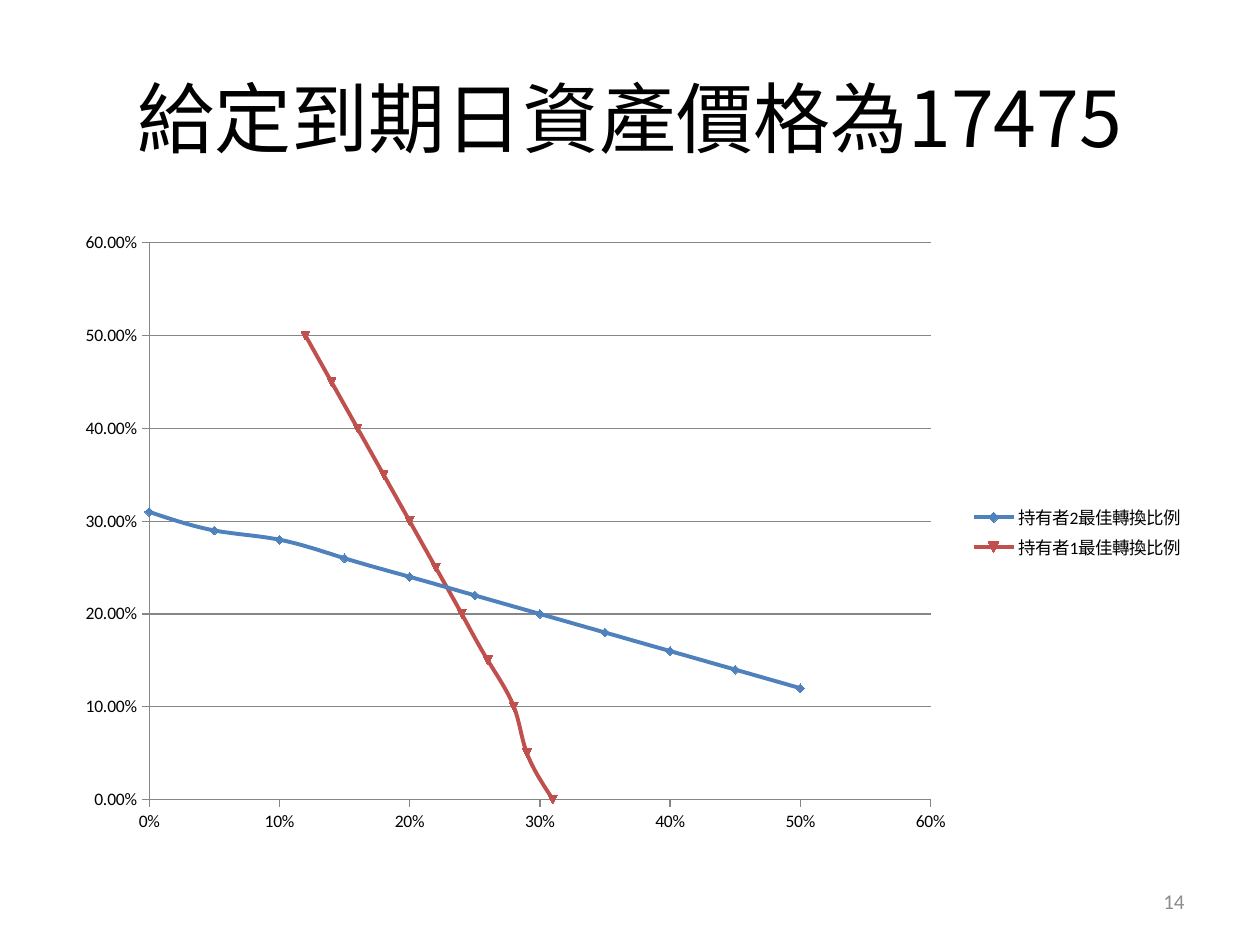
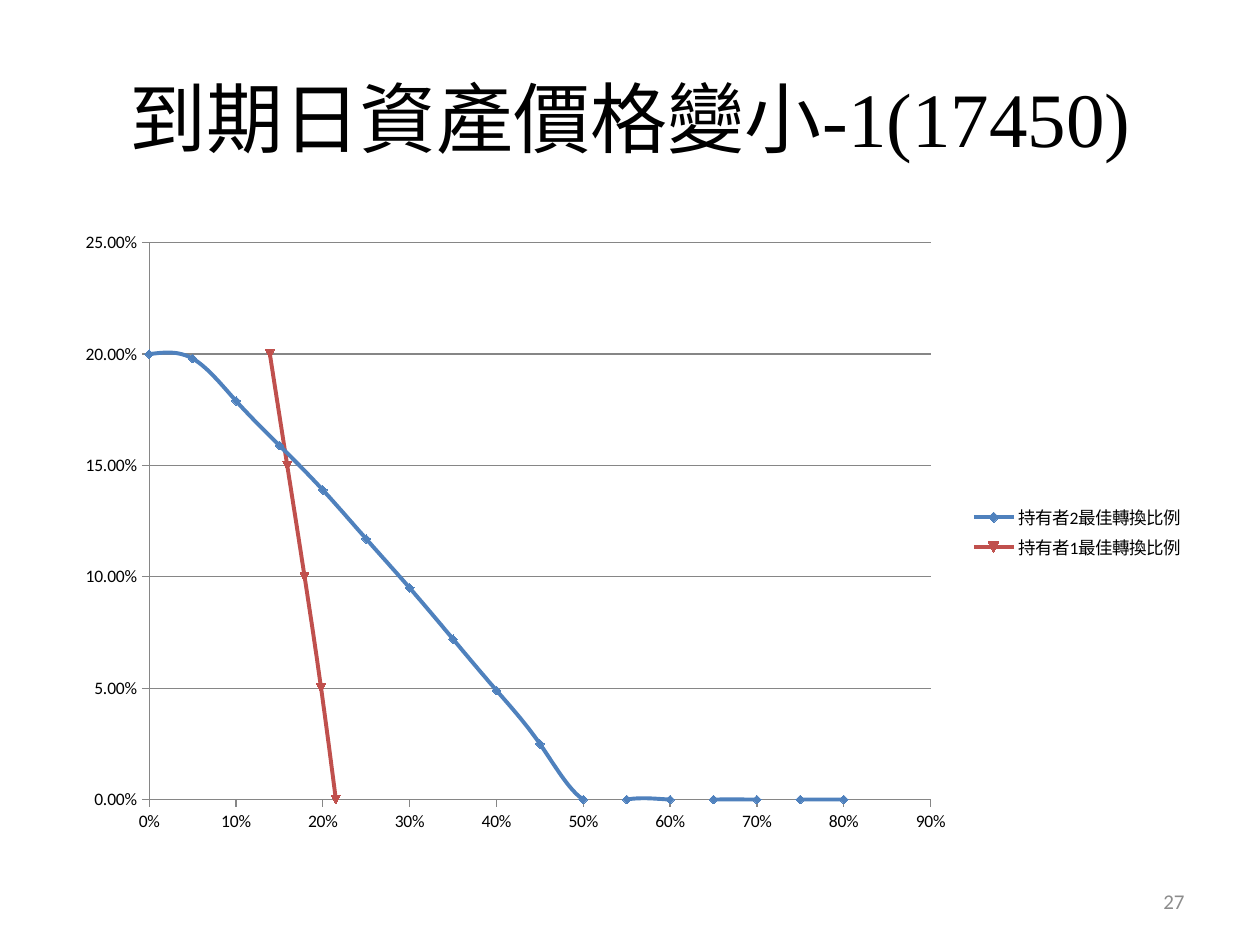
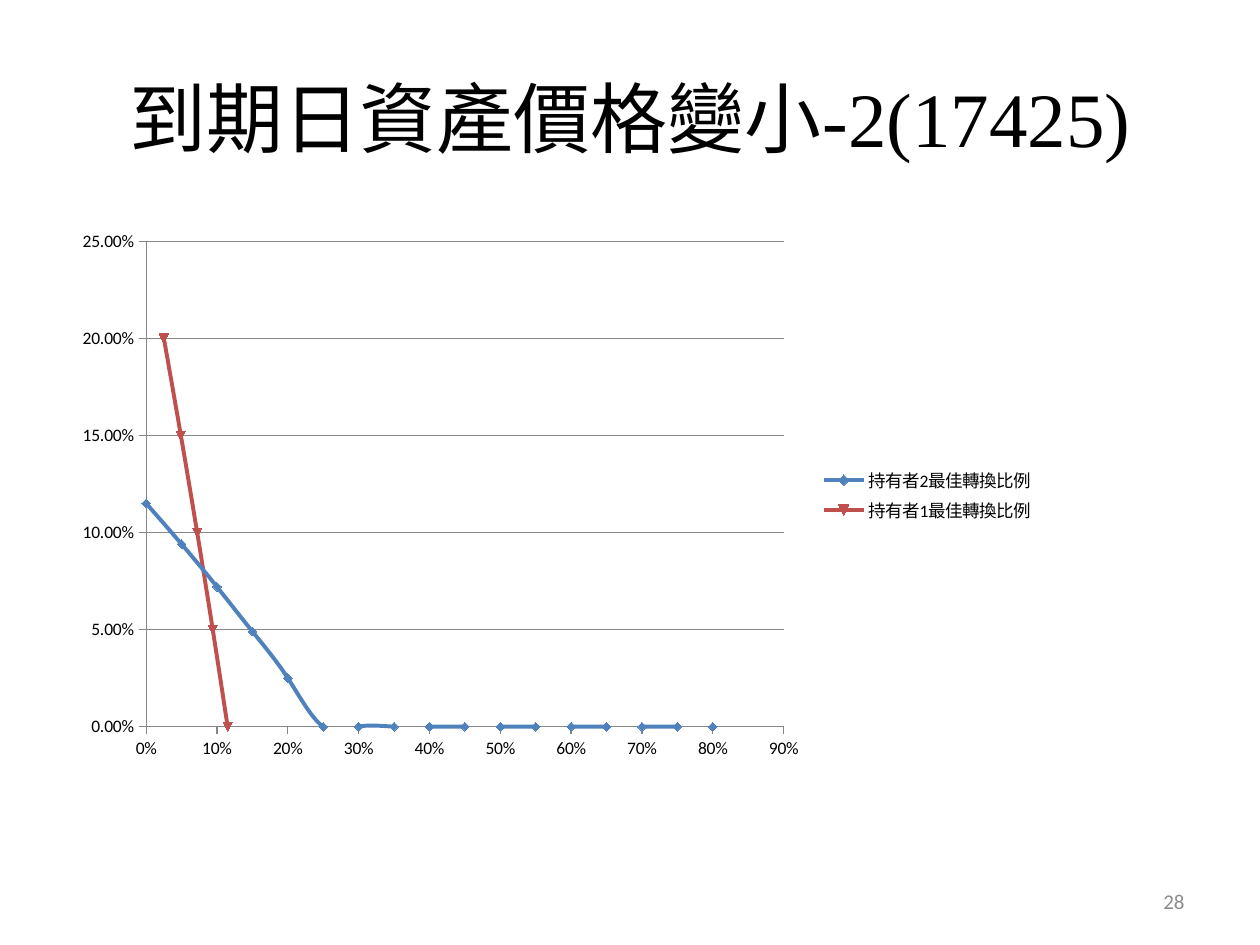
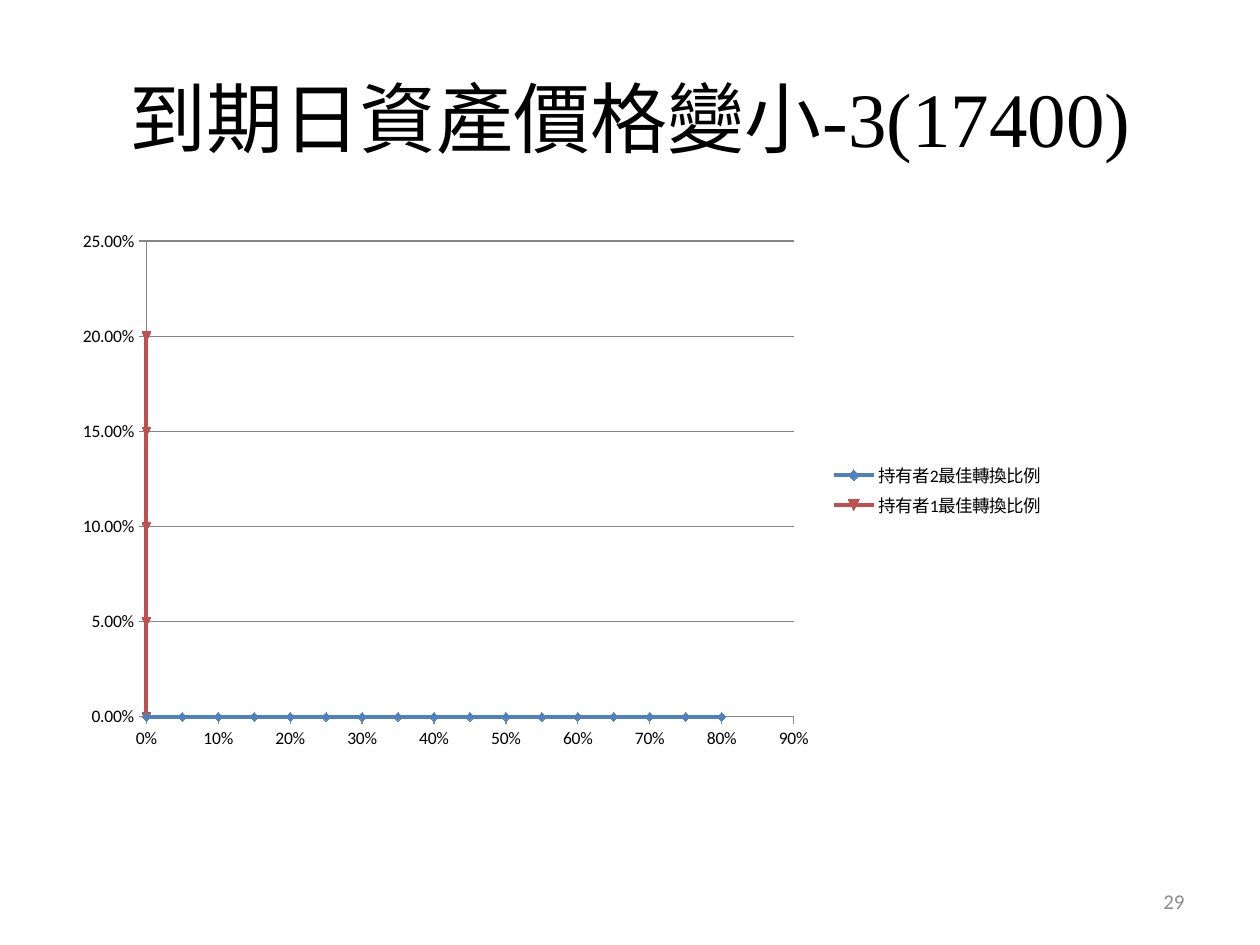
"""Build four slides that chart each holder's best conversion ratio by asset price."""
from dataclasses import dataclass

from lxml.etree import SubElement
from pptx import Presentation
from pptx.chart.data import XyChartData
from pptx.dml.color import RGBColor
from pptx.enum.chart import XL_CHART_TYPE, XL_LEGEND_POSITION, XL_TICK_MARK
from pptx.enum.text import MSO_ANCHOR, PP_ALIGN
from pptx.oxml.ns import qn
from pptx.util import Inches, Pt


@dataclass(frozen=True)
class Theme:
    """Hold the colours, fonts and sizes that all slides share."""
    ink: RGBColor = RGBColor(0, 0, 0)
    muted: RGBColor = RGBColor(0x8C, 0x8C, 0x8C)
    rule: RGBColor = RGBColor(0x86, 0x86, 0x86)
    holder_2: RGBColor = RGBColor(0x4F, 0x81, 0xBD)
    holder_1: RGBColor = RGBColor(0xC0, 0x50, 0x4D)
    chinese: str = "Noto Sans CJK SC"
    serif: str = "Times New Roman"
    sans: str = "Calibri"
    title_size: Pt = Pt(44)
    number_size: Pt = Pt(12)
    chart_size: Pt = Pt(10)
    curve_width: Pt = Pt(2.25)
    rule_width: Pt = Pt(0.75)


@dataclass(frozen=True)
class Scenario:
    """Describe one slide: its title, number, chart size, responses and axes."""
    title: tuple
    number: int
    size: tuple
    responses: tuple
    holder_1_limit: float
    holder_2_limit: float
    x_maximum: float
    y_maximum: float
    y_step: float


THEME = Theme()
STEP = 0.05


def title_runs(suffix):
    """Return the title runs of a slide about a smaller asset price."""
    return ("到期日資產價格變小", THEME.chinese), (suffix, THEME.serif)


SMALLER = dict(holder_1_limit=0.2, holder_2_limit=0.8,
               x_maximum=0.9, y_maximum=0.25, y_step=0.05)

SCENARIOS = (
    Scenario((("給定到期日資產價格為17475", THEME.chinese),), 14, (9, 4.95),
             (0.31, 0.29, 0.28, 0.26, 0.24, 0.22,
              0.2, 0.18, 0.16, 0.14, 0.12),
             holder_1_limit=0.5, holder_2_limit=0.5,
             x_maximum=0.6, y_maximum=0.6, y_step=0.1),
    Scenario(title_runs("-1(17450)"), 27, (9, 4.95),
             (0.215, 0.198, 0.179, 0.159, 0.139,
              0.117, 0.095, 0.072, 0.049, 0.025), **SMALLER),
    Scenario(title_runs("-2(17425)"), 28, (7.81, 4.36),
             (0.115, 0.094, 0.072, 0.049, 0.025), **SMALLER),
    Scenario(title_runs("-3(17400)"), 29, (7.89, 4.28), (), **SMALLER),
)


def holdings(limit):
    """Return the ratios from zero to the limit in equal steps."""
    return [round(index * STEP, 2) for index in range(round(limit / STEP) + 1)]


def best_curves(scenario):
    """Return the points of both holders, whose responses mirror each other."""
    ratios_1 = holdings(scenario.holder_1_limit)
    ratios_2 = holdings(scenario.holder_2_limit)
    missing = len(ratios_2) - len(scenario.responses)
    responses = list(scenario.responses) + [0] * missing
    capped = [min(value, scenario.holder_1_limit) for value in responses]
    return (("持有者2最佳轉換比例", zip(ratios_2, capped), THEME.holder_2),
            ("持有者1最佳轉換比例", zip(responses, ratios_1), THEME.holder_1))


class DeckBuilder:
    """Keep the theme and the current page, and add elements to that page."""

    def __init__(self, theme):
        """Start an empty deck."""
        self.theme = theme
        self.deck = Presentation()
        self.deck.slide_width, self.deck.slide_height = Inches(10), Inches(7.5)
        self.page = None

    def add_page(self):
        """Add a blank page and make it current."""
        self.page = self.deck.slides.add_slide(self.deck.slide_layouts[6])

    def add_text(self, place, runs, size, color, alignment):
        """Add a one-paragraph box from pairs of text and font name."""
        box = self.page.shapes.add_textbox(*map(Inches, place))
        frame = box.text_frame
        frame.word_wrap = True
        frame.vertical_anchor = MSO_ANCHOR.MIDDLE
        para = frame.paragraphs[0]
        para.alignment = alignment
        for text, font_name in runs:
            span = para.add_run()
            span.text = text
            span.font.size = size
            span.font.color.rgb = color
            span.font.name = font_name
            SubElement(span._r.get_or_add_rPr(), qn("a:ea"), typeface=font_name)

    def add_title(self, runs):
        """Add the centred title."""
        self.add_text((0.5, 0.3, 9, 1.25), runs, self.theme.title_size,
                      self.theme.ink, PP_ALIGN.CENTER)

    def add_number(self, number):
        """Add the page number at the lower right."""
        self.add_text((7.17, 6.95, 2.33, 0.4), ((str(number), self.theme.sans),),
                      self.theme.number_size, self.theme.muted, PP_ALIGN.RIGHT)

    def style_line(self, line, color, width):
        """Give a line its colour and width."""
        line.color.rgb = color
        line.width = width

    def style_axis(self, axis, maximum, step, number_format):
        """Set the scale, labels and line of an axis."""
        axis.minimum_scale, axis.maximum_scale = 0, maximum
        axis.major_unit = step
        axis.major_tick_mark = XL_TICK_MARK.OUTSIDE
        axis.minor_tick_mark = XL_TICK_MARK.NONE
        axis.tick_labels.number_format = number_format
        axis.tick_labels.number_format_is_linked = False
        self.style_line(axis.format.line, self.theme.rule, self.theme.rule_width)

    def add_curves(self, scenario):
        """Add the smooth scatter chart of both holders."""
        theme = self.theme
        curves = best_curves(scenario)
        data = XyChartData()
        for name, points, _ in curves:
            series = data.add_series(name)
            for x, y in points:
                series.add_data_point(x, y)
        place = map(Inches, (0.5, 1.75, *scenario.size))
        chart = self.page.shapes.add_chart(
            XL_CHART_TYPE.XY_SCATTER_SMOOTH, *place, data).chart
        chart.has_title = False
        chart.font.name = theme.sans
        chart.font.size = theme.chart_size
        chart.font.color.rgb = theme.ink
        chart.has_legend = True
        chart.legend.position = XL_LEGEND_POSITION.RIGHT
        chart.legend.include_in_layout = False
        self.style_axis(chart.category_axis, scenario.x_maximum, 0.1, "0%")
        self.style_axis(chart.value_axis, scenario.y_maximum,
                        scenario.y_step, "0.00%")
        chart.category_axis.has_major_gridlines = False
        chart.value_axis.has_major_gridlines = True
        self.style_line(chart.value_axis.major_gridlines.format.line,
                        theme.rule, theme.rule_width)
        plot = chart.plots[0]
        plot.vary_by_categories = False
        for series, (_, _, color) in zip(plot.series, curves):
            self.style_line(series.format.line, color, theme.curve_width)
            marker = series.marker.format
            marker.fill.solid()
            marker.fill.fore_color.rgb = color
            self.style_line(marker.line, color, theme.rule_width)
        for smooth in chart.element.iter(qn("c:smooth")):
            smooth.set("val", "1")


def main():
    """Build every scenario page and save the deck."""
    builder = DeckBuilder(THEME)
    for scenario in SCENARIOS:
        builder.add_page()
        builder.add_title(scenario.title)
        builder.add_number(scenario.number)
        builder.add_curves(scenario)
    builder.deck.save("out.pptx")


if __name__ == "__main__":
    main()
